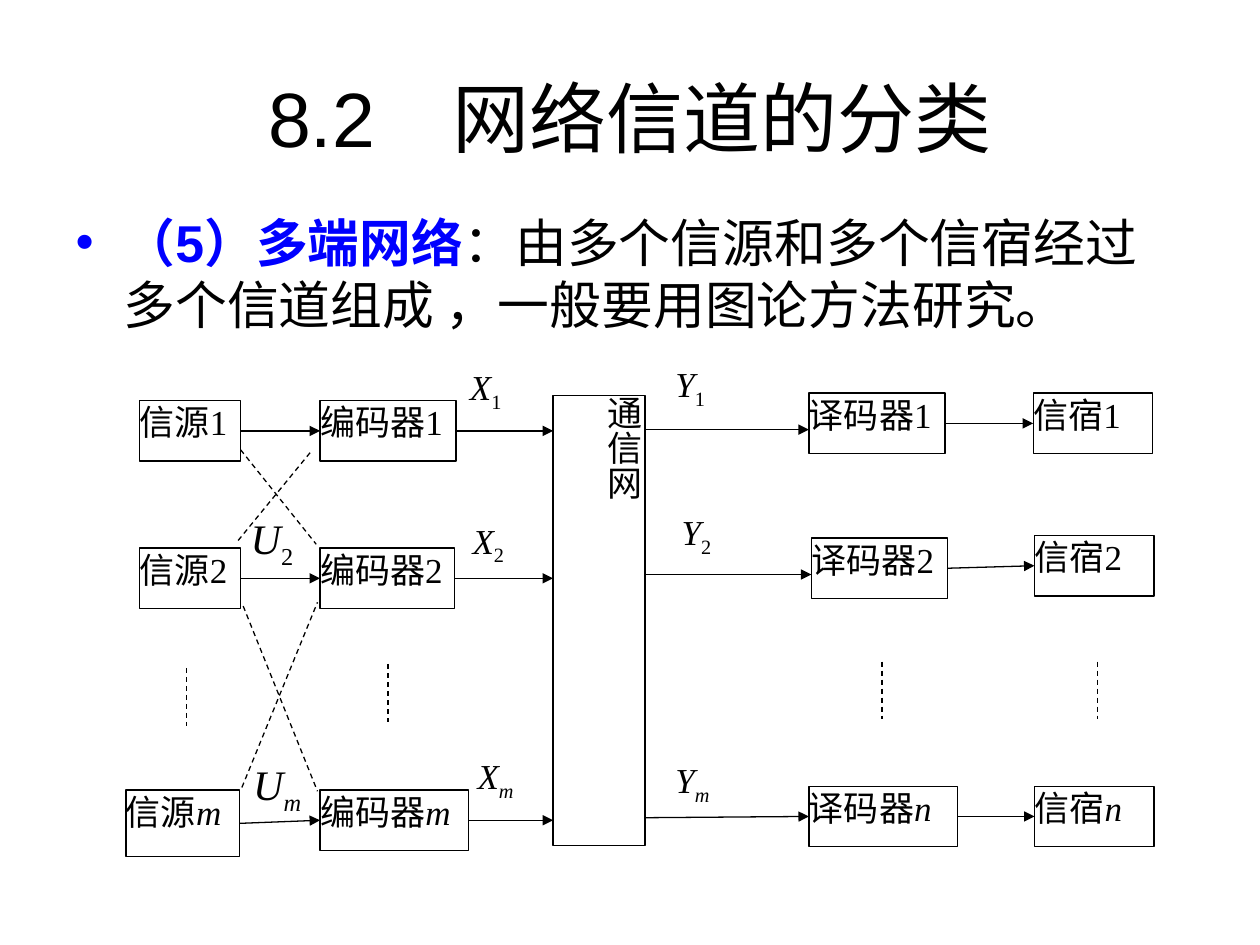
from lxml.etree import SubElement
from pptx import Presentation
from pptx.dml.color import RGBColor
from pptx.enum.dml import MSO_LINE
from pptx.enum.shapes import MSO_CONNECTOR as CONNECTOR, MSO_SHAPE as SHAPE
from pptx.enum.text import MSO_ANCHOR as ANCHOR, MSO_AUTO_SIZE as AUTO_SIZE, PP_ALIGN as ALIGN
from pptx.oxml.ns import qn
from pptx.util import Inches, Pt

COLORS = {"ink": "000000", "paper": "FFFFFF", "accent": "0000FF"}
TOP, LEFT, RIGHT = 0, 1, 3


def color(name):
    return RGBColor.from_string(COLORS[name])


def set_font(font, name, size):
    font.name, font.size = name, Pt(size)
    font.color.rgb = color("ink")


def place(shape, box):
    shape.left, shape.top, shape.width, shape.height = map(Inches, box)


def add_box(slide, box, outlined=True):
    rect = slide.shapes.add_shape(SHAPE.RECTANGLE, *map(Inches, box))
    rect.shadow.inherit = False
    rect.fill.solid()
    rect.fill.fore_color.rgb = color("paper")
    if outlined:
        rect.line.color.rgb = color("ink")
        rect.line.width = Pt(0.75)
    else:
        rect.line.fill.background()
    frame = rect.text_frame
    frame.word_wrap = True
    frame.vertical_anchor = ANCHOR.TOP
    frame.margin_left = frame.margin_top = frame.margin_right = frame.margin_bottom = 0
    return rect


def add_block(slide, box, name, index):
    """Outlined box with a name and its index; letters are italic."""
    block = add_box(slide, box)
    paragraph = block.text_frame.paragraphs[0]
    paragraph.alignment = ALIGN.JUSTIFY
    set_font(paragraph.font, "Times New Roman", 20)
    if index.isdigit():
        paragraph.add_run().text = name + index
    else:
        paragraph.add_run().text = name
        letter = paragraph.add_run()
        letter.text = index
        letter.font.italic = True
    return block


def add_signal(slide, box, symbol, index, size=20):
    """Italic symbol with a subscript."""
    paragraph = add_box(slide, box, outlined=False).text_frame.paragraphs[0]
    paragraph.alignment = ALIGN.JUSTIFY
    set_font(paragraph.font, "Times New Roman", size)
    letter, subscript = paragraph.add_run(), paragraph.add_run()
    letter.text, subscript.text = symbol, index
    letter.font.italic = True
    subscript.font.italic = not index.isdigit()
    subscript.font._element.set("baseline", "-25000")


def add_line(slide, start, end, dashed=False):
    line = slide.shapes.add_connector(CONNECTOR.STRAIGHT, *map(Inches, start + end))
    line.line.color.rgb = color("ink")
    line.line.width = Pt(0.75)
    if dashed:
        line.line.dash_style = MSO_LINE.DASH
    else:
        SubElement(line.line._get_or_add_ln(), qn("a:tailEnd"), type="triangle")
    SubElement(line._element.spPr, qn("a:effectLst"))
    return line


def middle(box):
    return box[1] + box[3] / 2


def add_title(slide, box):
    title = slide.shapes.title
    place(title, box)
    title.text_frame.vertical_anchor = ANCHOR.MIDDLE
    paragraph = title.text_frame.paragraphs[0]
    paragraph.text = "8.2　网络信道的分类"
    paragraph.alignment = ALIGN.CENTER
    set_font(paragraph.font, "Arial", 44)


def add_definition(slide, box):
    body = slide.placeholders[1]
    place(body, box)
    body.text_frame.auto_size = AUTO_SIZE.NONE
    paragraph = body.text_frame.paragraphs[0]
    paragraph.space_before = Pt(0)
    properties = paragraph._p.get_or_add_pPr()
    properties.set("marL", str(Inches(0.38)))
    properties.set("indent", str(-Inches(0.38)))
    bullet_color = SubElement(properties, qn("a:buClr"))
    SubElement(bullet_color, qn("a:srgbClr"), val=COLORS["accent"])
    SubElement(properties, qn("a:buChar"), char="•")
    set_font(paragraph.font, "Arial", 29.6)
    term, meaning = paragraph.add_run(), paragraph.add_run()
    term.text = "（5）多端网络"
    term.font.bold = True
    term.font.color.rgb = color("accent")
    meaning.text = "：由多个信源和多个信宿经过多个信道组成 ，一般要用图论方法研究。"


def add_network(slide, box):
    network = add_box(slide, box)
    network.text_frame._txBody.bodyPr.set("vert", "eaVert")
    paragraph = network.text_frame.paragraphs[0]
    paragraph.text = "通信网"
    paragraph.alignment = ALIGN.CENTER
    set_font(paragraph.font, "Times New Roman", 20)


def add_sending_row(slide, network_box, index, source_box, encoder_box):
    source = add_block(slide, source_box, "信源", index)
    encoder = add_block(slide, encoder_box, "编码器", index)
    y = middle(encoder_box)
    link = add_line(slide, (1.91, y), (encoder_box[0], y))
    link.begin_connect(source, RIGHT)
    link.end_connect(encoder, LEFT)
    output = add_line(slide, (encoder_box[0] + encoder_box[2], y), (network_box[0], y))
    output.begin_connect(encoder, RIGHT)


def add_receiving_row(slide, network_box, index, input_y, decoder_box, sink_box):
    decoder = add_block(slide, decoder_box, "译码器", index)
    sink = add_block(slide, sink_box, "信宿", index)
    received = add_line(slide, (network_box[0] + network_box[2], input_y),
                        (decoder_box[0], input_y))
    if abs(input_y - middle(decoder_box)) < 0.02:
        received.end_connect(decoder, LEFT)
    y = middle(decoder_box)
    link = add_line(slide, (decoder_box[0] + decoder_box[2], y), (sink_box[0], y))
    link.begin_connect(decoder, RIGHT)
    link.end_connect(sink, LEFT)


def add_diagram(slide, network_box):
    add_network(slide, network_box)

    # Signal labels
    for signal in [
        ((3.73, 2.9, 0.44, 0.37), "X", "1"), ((3.75, 4.12, 0.45, 0.38), "X", "2"),
        ((3.79, 5.99, 0.45, 0.37), "X", "m"), ((5.36, 2.88, 0.46, 0.41), "Y", "1"),
        ((5.41, 4.05, 0.46, 0.41), "Y", "2"), ((5.36, 6.02, 0.46, 0.41), "Y", "m"),
        ((1.99, 4.07, 0.5, 0.46), "U", "2", 24), ((2.01, 6.02, 0.5, 0.41), "U", "m", 24),
    ]:
        add_signal(slide, *signal)

    # Sources and encoders
    for row in [
        ("1", (1.11, 3.18, 0.8, 0.48), (2.54, 3.18, 1.08, 0.48)),
        ("2", (1.11, 4.35, 0.8, 0.48), (2.54, 4.35, 1.07, 0.48)),
        ("m", (1, 6.27, 0.9, 0.53), (2.54, 6.27, 1.18, 0.48)),
    ]:
        add_sending_row(slide, network_box, *row)

    # Decoders and sinks
    for row in [
        ("1", 3.41, (6.42, 3.12, 1.08, 0.48), (8.2, 3.12, 0.95, 0.48)),
        ("2", 4.56, (6.44, 4.27, 1.08, 0.48), (8.21, 4.25, 0.95, 0.48)),
        ("n", 6.49, (6.42, 6.24, 1.18, 0.48), (8.21, 6.24, 0.95, 0.48)),
    ]:
        add_receiving_row(slide, network_box, *row)

    # Crossing links between neighbouring rows
    for start, end in [
        ((1.91, 3.57), (2.51, 4.32)), ((1.89, 4.29), (2.48, 3.57)),
        ((1.92, 6.25), (2.52, 4.78)), ((1.93, 4.81), (2.52, 6.28)),
    ]:
        add_line(slide, start, end, dashed=True)

    # Omitted rows
    for x, y in [(1.48, 5.3), (3.08, 5.27), (7, 5.25), (8.71, 5.25)]:
        add_line(slide, (x, y), (x, y + 0.46), dashed=True)


def main():
    deck = Presentation()
    deck.slide_width, deck.slide_height = Inches(10), Inches(7.5)
    slide = deck.slides.add_slide(deck.slide_layouts[1])
    add_title(slide, (0.5, 0.3, 9, 1.25))
    add_definition(slide, (0.5, 1.62, 9, 1.21))
    add_diagram(slide, (4.39, 3.14, 0.73, 3.57))
    deck.save("out.pptx")


if __name__ == "__main__":
    main()
